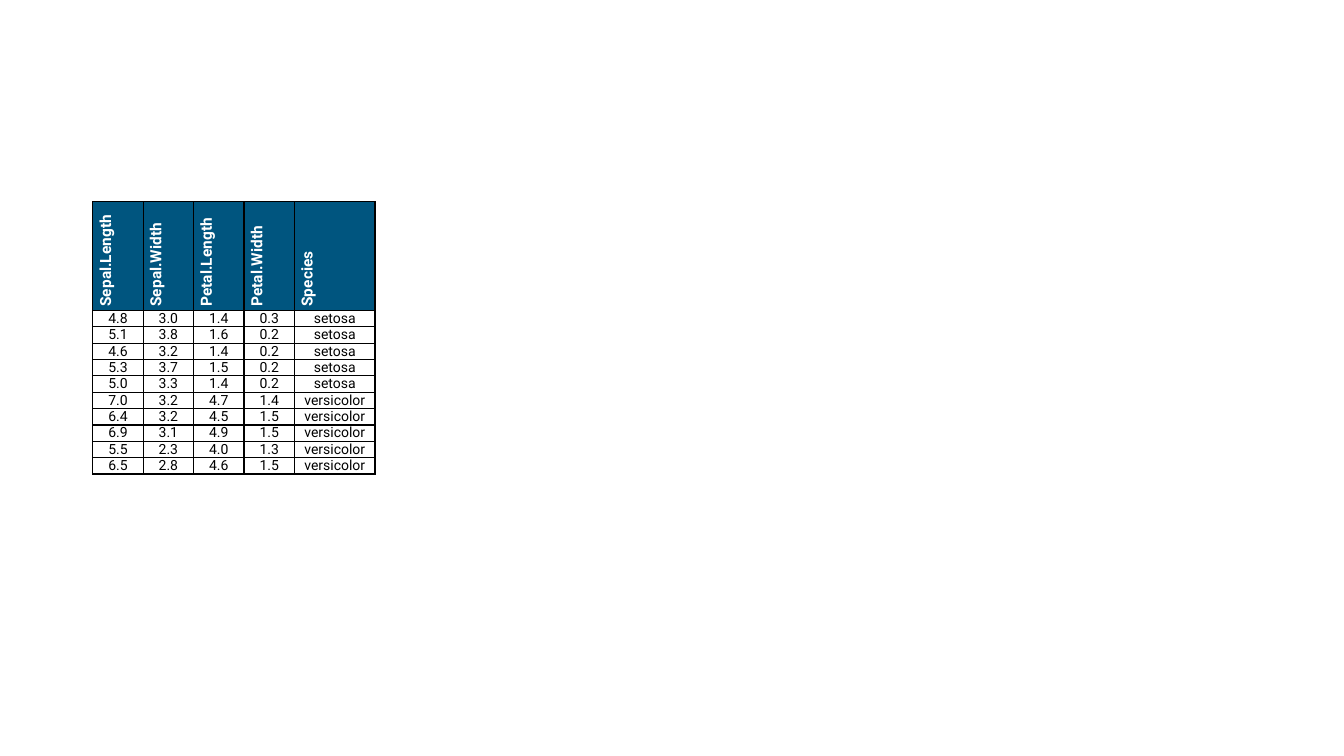
from lxml import etree
from pptx import Presentation
from pptx.dml.color import RGBColor
from pptx.enum.text import MSO_ANCHOR, PP_ALIGN
from pptx.oxml.ns import qn
from pptx.util import Inches, Pt

BLACK = RGBColor(0x00, 0x00, 0x00)
WHITE = RGBColor(0xFF, 0xFF, 0xFF)
HEADER_BLUE = RGBColor(0x00, 0x55, 0x7F)
MIDDLE = MSO_ANCHOR.MIDDLE
LEFT, CENTER = PP_ALIGN.LEFT, PP_ALIGN.CENTER
FONT_NAME = "Roboto"

TABLE_LEFT, TABLE_TOP = Inches(0.92), Inches(2)
COLUMN_WIDTHS = [Inches(0.5)] * 4 + [Inches(0.8)]
HEADER_HEIGHT, BODY_HEIGHT = Inches(1.08), Inches(0.16)
MARGINS = ("margin_left", "margin_right", "margin_top", "margin_bottom")

HEADER = ["Sepal.Length", "Sepal.Width", "Petal.Length", "Petal.Width", "Species"]
FLOWERS = [
    ["4.8", "3.0", "1.4", "0.3", "setosa"],
    ["5.1", "3.8", "1.6", "0.2", "setosa"],
    ["4.6", "3.2", "1.4", "0.2", "setosa"],
    ["5.3", "3.7", "1.5", "0.2", "setosa"],
    ["5.0", "3.3", "1.4", "0.2", "setosa"],
    ["7.0", "3.2", "4.7", "1.4", "versicolor"],
    ["6.4", "3.2", "4.5", "1.5", "versicolor"],
    ["6.9", "3.1", "4.9", "1.5", "versicolor"],
    ["5.5", "2.3", "4.0", "1.3", "versicolor"],
    ["6.5", "2.8", "4.6", "1.5", "versicolor"],
]

HEADER_FORMAT = {
    "cell": {"vertical_anchor": MIDDLE, **dict.fromkeys(MARGINS, Inches(0.04))},
    "para": {"alignment": LEFT},
    "font": {"name": FONT_NAME, "size": Pt(11), "bold": True},
    "color": WHITE,
    "fill": HEADER_BLUE,
    "vert": "vert270",
}
BODY_FORMAT = {
    "cell": {"vertical_anchor": MIDDLE, **dict.fromkeys(MARGINS, 0)},
    "para": {"alignment": CENTER, "space_before": Pt(1), "space_after": Pt(1)},
    "font": {"name": FONT_NAME, "size": Pt(10), "bold": False},
    "color": BLACK,
    "fill": None,
    "vert": "horz",
}


def set_values(target, values):
    """Set each named attribute of the target."""
    for name, value in values.items():
        setattr(target, name, value)


def add_borders(cell_properties, color, width):
    """Draw a solid line on all four sides of a cell."""
    for side in ("a:lnL", "a:lnR", "a:lnT", "a:lnB"):
        line = etree.SubElement(cell_properties, qn(side), w=str(width))
        solid = etree.SubElement(line, qn("a:solidFill"))
        etree.SubElement(solid, qn("a:srgbClr"), val=str(color))


def fill_cell(cell, text, style):
    """Write and format one table cell."""
    set_values(cell, style["cell"])
    cell_properties = cell._tc.get_or_add_tcPr()
    cell_properties.set("vert", style["vert"])
    add_borders(cell_properties, BLACK, Pt(1))
    if style["fill"] is None:
        cell.fill.background()
    else:
        cell.fill.solid()
        cell.fill.fore_color.rgb = style["fill"]
    para = cell.text_frame.paragraphs[0]
    set_values(para, style["para"])
    span = para.add_run()
    span.text = text
    set_values(span.font, style["font"])
    span.font.color.rgb = style["color"]


def add_flower_table(page, left, top):
    """Place the flower measurements with their turned header."""
    rows = [HEADER] + FLOWERS
    heights = [HEADER_HEIGHT] + [BODY_HEIGHT] * len(FLOWERS)
    table = page.shapes.add_table(
        len(rows), len(HEADER), left, top, sum(COLUMN_WIDTHS), sum(heights)
    ).table
    set_values(table, {"first_row": True, "horz_banding": False})
    for column, width in zip(table.columns, COLUMN_WIDTHS):
        column.width = width
    for index, (row, height, texts) in enumerate(zip(table.rows, heights, rows)):
        row.height = height
        style = BODY_FORMAT if index else HEADER_FORMAT
        for cell, text in zip(row.cells, texts):
            fill_cell(cell, text, style)


def main():
    """Build and save the deck."""
    deck = Presentation()
    set_values(deck, {"slide_width": Inches(13.33), "slide_height": Inches(7.5)})
    page = deck.slides.add_slide(deck.slide_layouts.get_by_name("Blank"))
    add_flower_table(page, TABLE_LEFT, TABLE_TOP)
    deck.save("out.pptx")


main()
